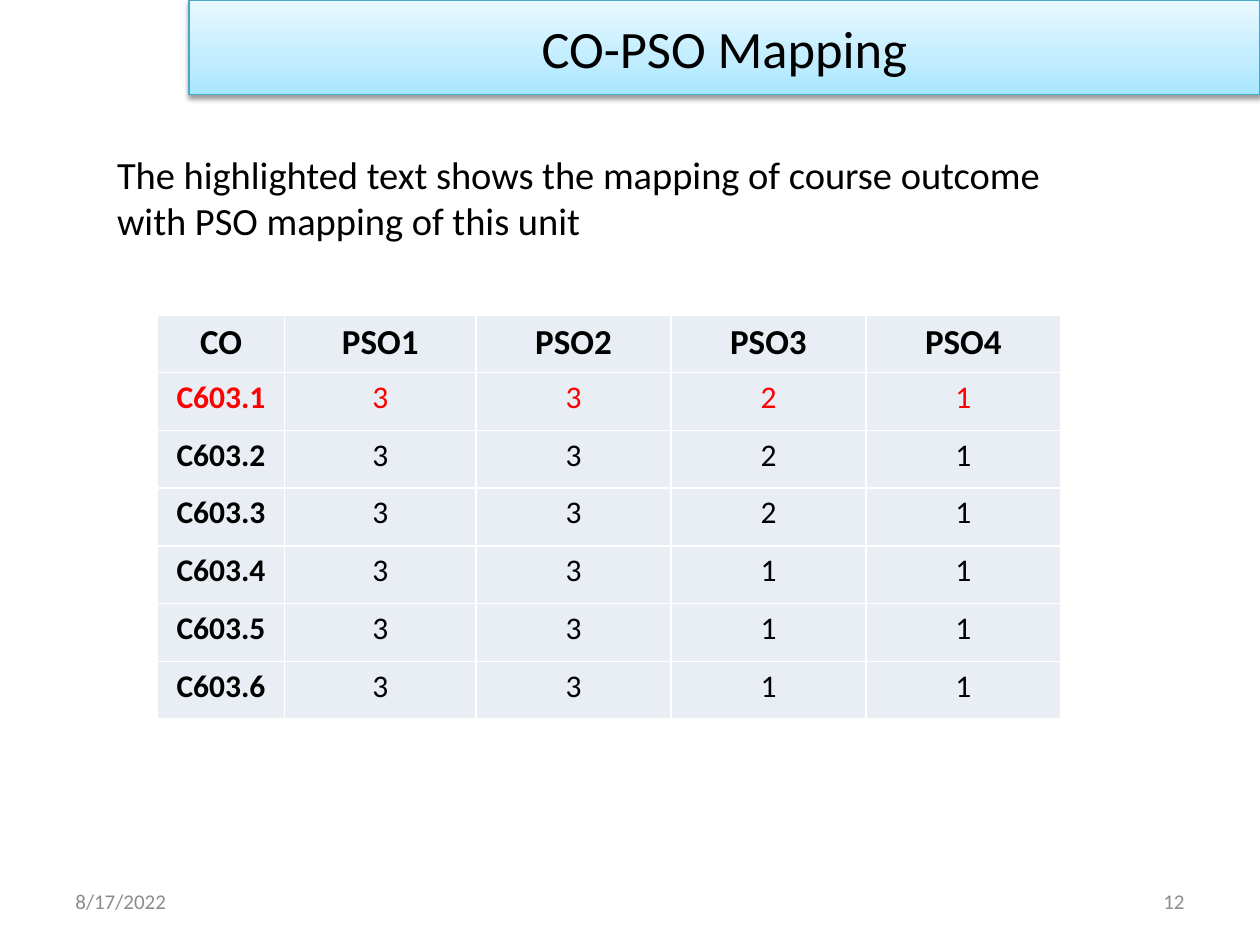
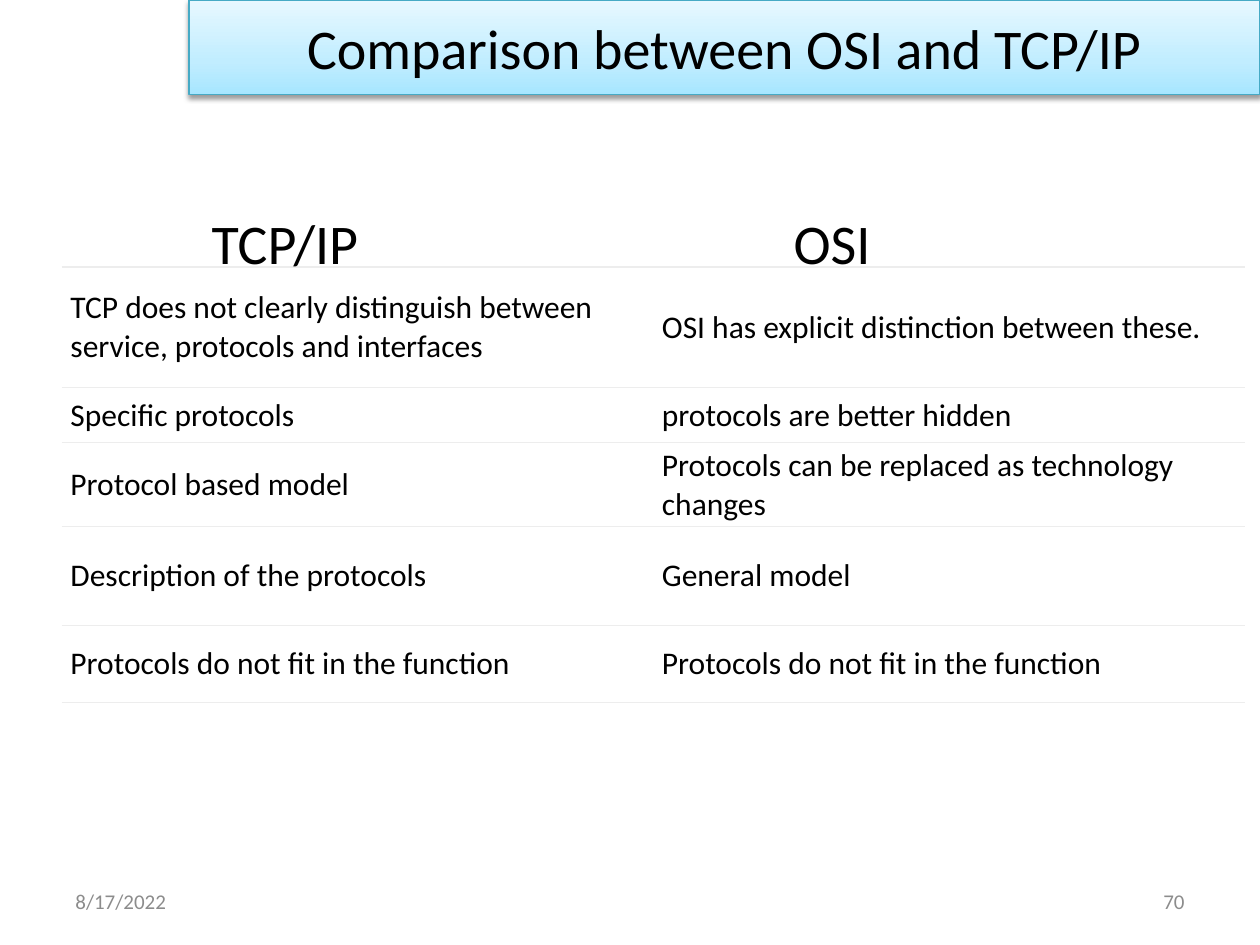
from dataclasses import dataclass

from lxml import etree
from pptx import Presentation
from pptx.dml.color import RGBColor
from pptx.enum.text import MSO_ANCHOR, MSO_AUTO_SIZE, PP_ALIGN
from pptx.oxml import parse_xml
from pptx.oxml.ns import nsdecls, qn
from pptx.presentation import Presentation as PresentationType
from pptx.slide import Slide
from pptx.table import _Cell as Cell
from pptx.text.text import TextFrame
from pptx.util import Pt

LEFT, CENTER, RIGHT = PP_ALIGN.LEFT, PP_ALIGN.CENTER, PP_ALIGN.RIGHT
TOP, MIDDLE = MSO_ANCHOR.TOP, MSO_ANCHOR.MIDDLE
NO_AUTOFIT = MSO_AUTO_SIZE.NONE

FONT = "Calibri"
BLACK, WHITE, RED, GREY = "000000", "FFFFFF", "FF0000", "8C8C8C"
BAND_LINE, TABLE_TINT, RULE_GREY = "46AAC5", "E9EDF4", "EDEDED"
BAND_STOPS = ((0, "A7E6FF"), (35, "C1EDFF"), (100, "E7F8FF"))

TITLE_ONLY_LAYOUT = 5
SLIDE_WIDTH, SLIDE_HEIGHT = 720, 540
FOOTER_TOP, FOOTER_WIDTH, FOOTER_HEIGHT, FOOTER_MARGIN = 500.5, 168, 28.8, 36
BAND_LEFT, BAND_HEIGHT = 108, 54
DATE = "8/17/2022"


@dataclass(frozen=True)
class Box:
    left: float
    top: float
    width: float
    height: float


@dataclass(frozen=True)
class TextStyle:
    size: float
    color: str = BLACK
    bold: bool = False
    align: PP_ALIGN = LEFT
    anchor: MSO_ANCHOR = TOP


@dataclass(frozen=True)
class TableStyle:
    fill: str
    border: str
    border_width: float
    side_borders: bool
    vertical_margin: float
    line_spacing: float = 1.0
    space_after: float = 0


MAPPING_STYLE = TableStyle(TABLE_TINT, WHITE, 1, True, 0, 1.15, 10)
COMPARISON_STYLE = TableStyle(WHITE, RULE_GREY, 0.75, False, 2.2)
CELL_SIDE_MARGIN = 5

MAPPING_HEADER = ("CO", "PSO1", "PSO2", "PSO3", "PSO4")
MAPPING_LEVELS = ("3321", "3321", "3321", "3311", "3311", "3311")
HIGHLIGHTED_ROW = 1

COMPARISON_ROWS = (
    ("TCP does not clearly distinguish between service, protocols and interfaces",
     "OSI has explicit distinction between these."),
    ("Specific protocols", "protocols are better hidden"),
    ("Protocol based model", "Protocols can be replaced as technology changes"),
    ("Description of the protocols", "General model"),
    ("Protocols do not fit in the function", "Protocols do not fit in the function"),
)


def rgb(color: str) -> RGBColor:
    return RGBColor.from_string(color)


def write(frame: TextFrame, text: str, style: TextStyle) -> None:
    frame.text = text
    frame.word_wrap = True
    paragraph = frame.paragraphs[0]
    paragraph.alignment = style.align
    font = paragraph.runs[0].font
    font.name, font.size, font.bold = FONT, Pt(style.size), style.bold
    font.color.rgb = rgb(style.color)


def add_text(slide: Slide, box: Box, text: str, style: TextStyle) -> None:
    shape = slide.shapes.add_textbox(Pt(box.left), Pt(box.top), Pt(box.width), Pt(box.height))
    write(shape.text_frame, text, style)
    shape.text_frame.vertical_anchor = style.anchor


def format_band(slide: Slide, text: str, size: float) -> None:
    """Turn the title placeholder into the shaded band at the top."""
    title = slide.shapes.title
    title.left, title.top = Pt(BAND_LEFT), Pt(0)
    title.width, title.height = Pt(SLIDE_WIDTH - BAND_LEFT), Pt(BAND_HEIGHT)
    write(title.text_frame, text, TextStyle(size, align=CENTER))
    title.text_frame.vertical_anchor = MIDDLE
    title.text_frame.auto_size = NO_AUTOFIT

    stops = "".join(
        f'<a:gs pos="{position * 1000}"><a:srgbClr val="{color}"/></a:gs>'
        for position, color in BAND_STOPS
    )
    properties = title.element.spPr
    properties.append(parse_xml(
        f'<a:gradFill {nsdecls("a")} rotWithShape="1"><a:gsLst>{stops}</a:gsLst>'
        '<a:lin ang="16200000" scaled="0"/></a:gradFill>'
    ))
    title.line.color.rgb = rgb(BAND_LINE)
    title.line.width = Pt(0.75)
    properties.append(parse_xml(
        f'<a:effectLst {nsdecls("a")}><a:outerShdw blurRad="{Pt(3.1)}" dist="{Pt(1.6)}" '
        f'dir="5400000" rotWithShape="0"><a:srgbClr val="{BLACK}"><a:alpha val="38000"/>'
        '</a:srgbClr></a:outerShdw></a:effectLst>'
    ))


def start_slide(presentation: PresentationType, title: str, title_size: float, number: int) -> Slide:
    slide = presentation.slides.add_slide(presentation.slide_layouts[TITLE_ONLY_LAYOUT])
    format_band(slide, title, title_size)
    number_left = SLIDE_WIDTH - FOOTER_MARGIN - FOOTER_WIDTH
    for left, text, align in ((FOOTER_MARGIN, DATE, LEFT), (number_left, str(number), RIGHT)):
        box = Box(left, FOOTER_TOP, FOOTER_WIDTH, FOOTER_HEIGHT)
        add_text(slide, box, text, TextStyle(12, GREY, align=align, anchor=MIDDLE))
    return slide


def set_borders(cell: Cell, style: TableStyle) -> None:
    properties = cell._tc.get_or_add_tcPr()
    for side in "LRTB":
        line = etree.SubElement(properties, qn(f"a:ln{side}"), w=str(Pt(style.border_width)))
        if side in "TB" or style.side_borders:
            fill = etree.SubElement(line, qn("a:solidFill"))
            etree.SubElement(fill, qn("a:srgbClr"), val=style.border)
        else:
            etree.SubElement(line, qn("a:noFill"))


def fill_cell(cell: Cell, text: str, style: TableStyle, text_style: TextStyle) -> None:
    set_borders(cell, style)
    cell.fill.solid()
    cell.fill.fore_color.rgb = rgb(style.fill)
    cell.margin_left = cell.margin_right = Pt(CELL_SIDE_MARGIN)
    cell.margin_top = cell.margin_bottom = Pt(style.vertical_margin)
    cell.vertical_anchor = text_style.anchor
    write(cell.text_frame, text, text_style)
    paragraph = cell.text_frame.paragraphs[0]
    paragraph.line_spacing = style.line_spacing
    paragraph.space_after = Pt(style.space_after)


def add_table(
    slide: Slide,
    left: float,
    top: float,
    widths: list[float],
    heights: list[float],
    rows: list[list[tuple[str, TextStyle]]],
    style: TableStyle,
) -> None:
    table = slide.shapes.add_table(
        len(heights), len(widths), Pt(left), Pt(top), Pt(sum(widths)), Pt(sum(heights))
    ).table
    table.first_row = table.horz_banding = False
    for column, width in zip(table.columns, widths):
        column.width = Pt(width)
    for row, height, entries in zip(table.rows, heights, rows):
        row.height = Pt(height)
        for cell, (text, text_style) in zip(row.cells, entries):
            fill_cell(cell, text, style, text_style)


def mapping_text_style(row: int, column: int) -> TextStyle:
    return TextStyle(
        size=20 if row == 0 else 18,
        color=RED if row == HIGHLIGHTED_ROW else BLACK,
        bold=row == 0 or column == 0,
        align=CENTER,
    )


def build_mapping_slide(presentation: PresentationType) -> None:
    slide = start_slide(presentation, "CO-PSO Mapping", 30, 12)
    add_text(
        slide,
        Box(59.8, 82.8, 582, 60.5),
        "The highlighted text shows the mapping of course outcome with PSO mapping of this unit",
        TextStyle(22),
    )
    outcomes = [(f"C603.{number}", *levels) for number, levels in enumerate(MAPPING_LEVELS, 1)]
    rows = [
        [(text, mapping_text_style(row, column)) for column, text in enumerate(texts)]
        for row, texts in enumerate([MAPPING_HEADER, *outcomes])
    ]
    widths = [72.6, 109.5] + [111.4] * 3
    add_table(slide, 90, 180, widths, [33] * len(rows), rows, MAPPING_STYLE)


def build_comparison_slide(presentation: PresentationType) -> None:
    slide = start_slide(presentation, "Comparison between OSI and TCP/IP", 32, 70)
    body = TextStyle(18, anchor=MIDDLE)
    rows = [[(text, body) for text in texts] for texts in COMPARISON_ROWS]
    heights = [69, 31.5, 31.5, 56.7, 44]
    add_table(slide, 35.3, 152.6, [338] * 2, heights, rows, COMPARISON_STYLE)
    for left, heading in ((113.8, "TCP/IP"), (446.4, "OSI")):
        add_text(slide, Box(left, 115.5, 270, 45), heading, TextStyle(32))


def main() -> None:
    presentation = Presentation()
    presentation.slide_width, presentation.slide_height = Pt(SLIDE_WIDTH), Pt(SLIDE_HEIGHT)
    build_mapping_slide(presentation)
    build_comparison_slide(presentation)
    presentation.save("out.pptx")


if __name__ == "__main__":
    main()
